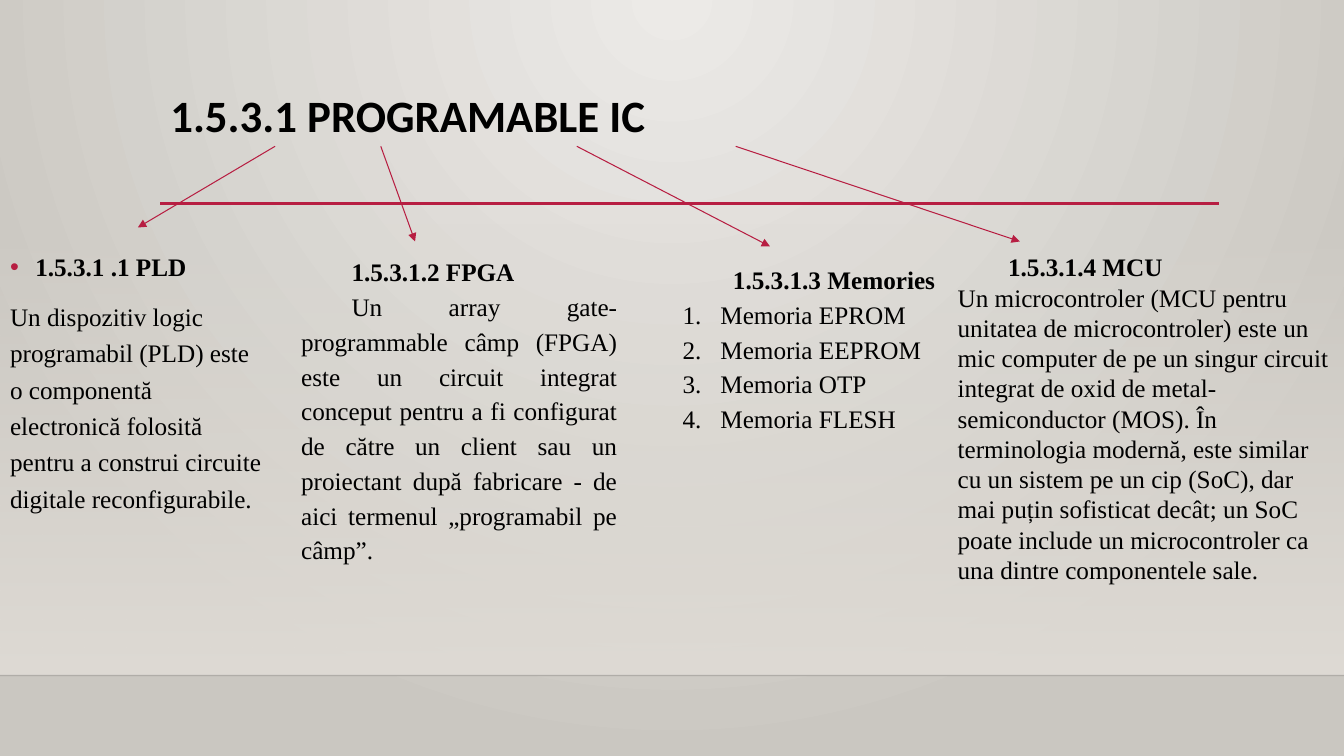
from lxml import etree
from pptx import Presentation
from pptx.dml.color import RGBColor
from pptx.enum.shapes import MSO_CONNECTOR, MSO_SHAPE
from pptx.enum.text import MSO_ANCHOR, MSO_AUTO_SIZE, PP_ALIGN
from pptx.oxml import parse_xml
from pptx.oxml.ns import nsdecls, qn
from pptx.util import Pt

STRAIGHT, RECT = MSO_CONNECTOR.STRAIGHT, MSO_SHAPE.RECTANGLE
TOP = MSO_ANCHOR.TOP
NO_FIT, GROW = MSO_AUTO_SIZE.NONE, MSO_AUTO_SIZE.SHAPE_TO_FIT_TEXT
LEFT, JUSTIFY = PP_ALIGN.LEFT, PP_ALIGN.JUSTIFY

BLACK = RGBColor(0x00, 0x00, 0x00)
CRIMSON = RGBColor(0xB7, 0x1E, 0x42)
PALE = RGBColor(0xEC, 0xEA, 0xE7)
STONE = RGBColor(0xCA, 0xC7, 0xC1)
FLOOR = RGBColor(0xDF, 0xDB, 0xD5)

SLIDE_W, SLIDE_H = 960, 540
FLOOR_TOP, FLOOR_BOTTOM = 159, 482.5

TITLE = "1.5.3.1 PROGRAMABLE IC"
TITLE_BOX = (114.5, 63.5, 756, 82.5)
PLD_BOX = (0, 171.5, 196.5, 271.5)
HEADING = dict(bold=True, align=JUSTIFY, indent=36, spacing=1.15)
NUMBERED = dict(align=JUSTIFY, margin=27, indent=-27, spacing=1.15, bullet="number")

PLD = [
    ("1.5.3.1 .1 PLD", dict(bold=True, margin=18, indent=-18, spacing=1.2, before=10, bullet="•")),
    ("Un dispozitiv logic programabil (PLD) este o componentă electronică folosită "
     "pentru a construi circuite digitale reconfigurabile.", dict(spacing=1.2, before=10)),
]
FPGA = [
    ("1.5.3.1.2 FPGA", HEADING),
    ("Un array gate-programmable câmp (FPGA) este un circuit integrat conceput pentru "
     "a fi configurat de către un client sau un proiectant după fabricare - de aici "
     "termenul „programabil pe câmp”.", dict(HEADING, bold=False)),
]
MEMORIES = [("1.5.3.1.3 Memories", HEADING)] + [
    (f"Memoria {kind}", NUMBERED) for kind in ("EPROM", "EEPROM", "OTP", "FLESH")
]
MCU = [
    ("1.5.3.1.4 MCU", HEADING),
    ("Un microcontroler (MCU pentru unitatea de microcontroler) este un mic computer "
     "de pe un singur circuit integrat de oxid de metal-semiconductor (MOS). În "
     "terminologia modernă, este similar cu un sistem pe un cip (SoC), dar mai puțin "
     "sofisticat decât; un SoC poate include un microcontroler ca una dintre "
     "componentele sale.", {}),
]
COLUMNS = [
    (FPGA, (208, 176.5, 240, 231), True),
    (MEMORIES, (480.5, 182, 196.5, 151), False),
    (MCU, (677, 173, 283, 250.5), True),
]
ARROW_TOP = 104.5
ARROWS = [(196.5, 98.5, 162.5), (272, 296.5, 172.5), (412, 550, 176), (525.5, 728.5, 172.5)]


def add_text(tf, text, first=False, size=18, font="Times New Roman", bold=False,
             align=LEFT, margin=0, indent=0, spacing=1.0, before=0, bullet=None):
    p = tf.paragraphs[0] if first else tf.add_paragraph()
    p.alignment, p.line_spacing = align, spacing
    p.space_before, p.space_after = Pt(before), Pt(0)
    r = p.add_run()
    r.text = text
    r.font.size, r.font.name, r.font.bold = Pt(size), font, bold
    r.font.color.rgb = BLACK
    pPr = p._p.get_or_add_pPr()
    pPr.set("marL", str(Pt(margin)))
    pPr.set("indent", str(Pt(indent)))
    if bullet is None:
        etree.SubElement(pPr, qn("a:buNone"))
    elif bullet == "number":
        etree.SubElement(pPr, qn("a:buAutoNum"), type="arabicPeriod")
    else:
        color = etree.SubElement(pPr, qn("a:buClr"))
        etree.SubElement(color, qn("a:srgbClr"), val=str(CRIMSON))
        etree.SubElement(pPr, qn("a:buFont"), typeface="Arial")
        etree.SubElement(pPr, qn("a:buChar"), char=bullet)


def fill_frame(sp, paragraphs, wrap=True, fit=NO_FIT):
    tf = sp.text_frame
    tf.word_wrap, tf.auto_size, tf.vertical_anchor = wrap, fit, TOP
    for i, (text, style) in enumerate(paragraphs):
        add_text(tf, text, first=i == 0, **style)


def place(sp, box):
    sp.left, sp.top, sp.width, sp.height = map(Pt, box)


def add_line(shapes, start, end, color, width):
    line = shapes.add_connector(STRAIGHT, *map(Pt, start + end))
    line.line.color.rgb, line.line.width = color, Pt(width)
    etree.SubElement(line._element.spPr, qn("a:effectLst"))
    return line


def set_alpha(element, percent):
    color = element.find(".//" + qn("a:srgbClr"))
    etree.SubElement(color, qn("a:alpha"), val=str(percent * 1000))


def set_background(slide):
    slide.background.fill.solid()
    bgPr = slide._element.cSld.find(qn("p:bg")).find(qn("p:bgPr"))
    bgPr.replace(bgPr[0], parse_xml(
        f'<a:gradFill {nsdecls("a")} rotWithShape="1"><a:gsLst>'
        f'<a:gs pos="0"><a:srgbClr val="{PALE}"/></a:gs>'
        f'<a:gs pos="100000"><a:srgbClr val="{STONE}"/></a:gs></a:gsLst>'
        '<a:path path="circle"><a:fillToRect l="43000" r="43000" b="100000"/></a:path>'
        '</a:gradFill>'))


def add_floor(shapes):
    sp = shapes.add_shape(RECT, 0, Pt(FLOOR_TOP), Pt(SLIDE_W), Pt(FLOOR_BOTTOM - FLOOR_TOP))
    sp.shadow.inherit = False
    sp.line.fill.background()
    sp.fill.gradient()
    sp.fill.gradient_angle = 270
    for stop, position in zip(sp.fill.gradient_stops, (0, 1)):
        stop.color.rgb, stop.position = FLOOR, position
    set_alpha(sp._element.spPr, 0)
    edge = add_line(shapes, (0, FLOOR_BOTTOM), (SLIDE_W, FLOOR_BOTTOM), BLACK, 1)
    set_alpha(edge._element.spPr, 20)
    rule = add_line(shapes, (114.5, 145.5), (871, 145.5), CRIMSON, 2.5)
    for i, item in enumerate((sp, edge, rule)):
        shapes._spTree.insert(2 + i, item._element)


def main():
    prs = Presentation()
    prs.slide_width, prs.slide_height = Pt(SLIDE_W), Pt(SLIDE_H)
    slide = prs.slides.add_slide(prs.slide_layouts[1])
    shapes = slide.shapes
    set_background(slide)
    add_floor(shapes)

    place(shapes.title, TITLE_BOX)
    fill_frame(shapes.title, [(TITLE, dict(size=32, font="Calibri", bold=True, spacing=0.9))])
    body = slide.placeholders[1]
    place(body, PLD_BOX)
    fill_frame(body, PLD)

    for paragraphs, box, wrap in COLUMNS:
        fill_frame(shapes.add_textbox(*map(Pt, box)), paragraphs, wrap, GROW)

    for start_x, end_x, end_y in ARROWS:
        arrow = add_line(shapes, (start_x, ARROW_TOP), (end_x, end_y), CRIMSON, 0.75)
        etree.SubElement(arrow.line._get_or_add_ln(), qn("a:tailEnd"), type="triangle")

    prs.save("out.pptx")


if __name__ == "__main__":
    main()
